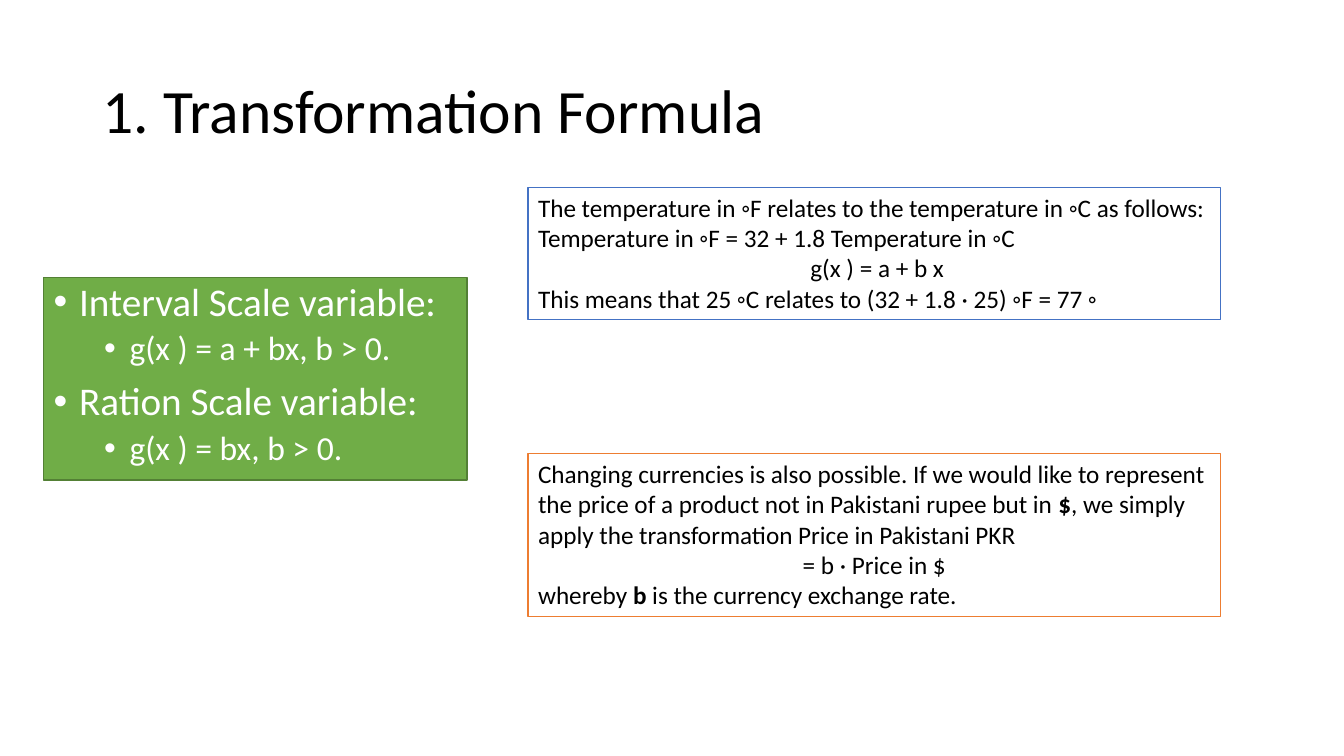
"""Build the slide on transformation formulas for interval and ratio scales."""
from lxml import etree
from pptx import Presentation
from pptx.dml.color import RGBColor
from pptx.enum import shapes, text
from pptx.oxml import ns
from pptx.util import Cm, Pt

HUES = {
    "black": "000000", "white": "FFFFFF",
    "green": "70AD47", "moss": "538035",
    "blue": "4472C4", "orange": "ED7D31",
}


def paint(box, fill, line):
    box.shadow.inherit = False
    box.fill.solid()
    box.fill.fore_color.rgb = RGBColor.from_string(HUES[fill])
    box.line.color.rgb = RGBColor.from_string(HUES[line])
    box.line.width = Pt(1)


def style(para, size, hue):
    for run in para.runs:
        run.font.name = "Calibri"
        run.font.size = Pt(size)
        run.font.color.rgb = RGBColor.from_string(HUES[hue])


deck = Presentation()
deck.slide_width, deck.slide_height = Cm(33.87), Cm(19.05)
slide = deck.slides.add_slide(deck.slide_layouts[1])

title = slide.shapes.title
title.left, title.top, title.width, title.height = Cm(2.33), Cm(1.01), Cm(29.21), Cm(3.68)
title.text_frame.text = "1. Transformation Formula"
title.text_frame.auto_size = text.MSO_AUTO_SIZE.NONE
title.text_frame.vertical_anchor = text.MSO_ANCHOR.MIDDLE
head = title.text_frame.paragraphs[0]
head.alignment = text.PP_ALIGN.LEFT
head.line_spacing = 0.9
style(head, 44, "black")

rules = [
    ("Interval Scale variable:", 0),
    ("g(x ) = a + bx, b > 0.", 1),
    ("Ration Scale variable:", 0),
    ("g(x ) = bx, b > 0.", 1),
]
body = slide.placeholders[1]
body.left, body.top, body.width, body.height = Cm(1.1), Cm(6.99), Cm(10.67), Cm(5.11)
paint(body, "green", "moss")
frame = body.text_frame
frame.text = "\n".join(rule for rule, level in rules)
frame.auto_size = text.MSO_AUTO_SIZE.NONE
for para, (rule, level) in zip(frame.paragraphs, rules):
    para.level = level
    para.line_spacing = 0.9
    para.space_before = Pt(5 if level else 10)
    style(para, 24 if level else 28, "white")
    props = para._p.get_or_add_pPr()
    props.set("marL", str(Cm(1.91 if level else 0.64)))
    props.set("indent", str(Cm(-0.64)))
    etree.SubElement(props, ns.qn("a:buFont"), typeface="Arial")
    etree.SubElement(props, ns.qn("a:buChar"), char="•")

LEFT, MID = text.PP_ALIGN.LEFT, text.PP_ALIGN.CENTER
notes = [
    (4.72, 3.33, "blue", [
        (LEFT, ["The temperature in ◦F relates to the temperature in ◦C as follows:"]),
        (LEFT, ["Temperature in ◦F = 32 + 1.8 Temperature in ◦C"]),
        (MID, [" g(x ) = a + b x"]),
        (LEFT, ["This means that 25 ◦C relates to (32 + 1.8 · 25) ◦F = 77 ◦"]),
    ]),
    (11.43, 4.11, "orange", [
        (LEFT, ["Changing currencies is also possible. If we would like to represent "
                "the price of a product not in Pakistani rupee but in ", "$",
                ", we simply apply the transformation Price in Pakistani PKR"]),
        (MID, ["= b · Price in $"]),
        (LEFT, ["whereby ", "b", " is the currency exchange rate."]),
    ]),
]
for top, height, line, paras in notes:
    box = slide.shapes.add_shape(
        shapes.MSO_SHAPE.RECTANGLE, Cm(13.31), Cm(top), Cm(17.45), Cm(height))
    paint(box, "white", line)
    frame = box.text_frame
    frame.word_wrap = True
    frame.auto_size = text.MSO_AUTO_SIZE.SHAPE_TO_FIT_TEXT
    frame.vertical_anchor = text.MSO_ANCHOR.TOP
    for row, (align, parts) in enumerate(paras):
        para = frame.add_paragraph() if row else frame.paragraphs[0]
        para.alignment = align
        for spot, part in enumerate(parts):
            run = para.add_run()
            run.text = part
            run.font.bold = spot == 1
        style(para, 18, "black")

deck.save("out.pptx")
